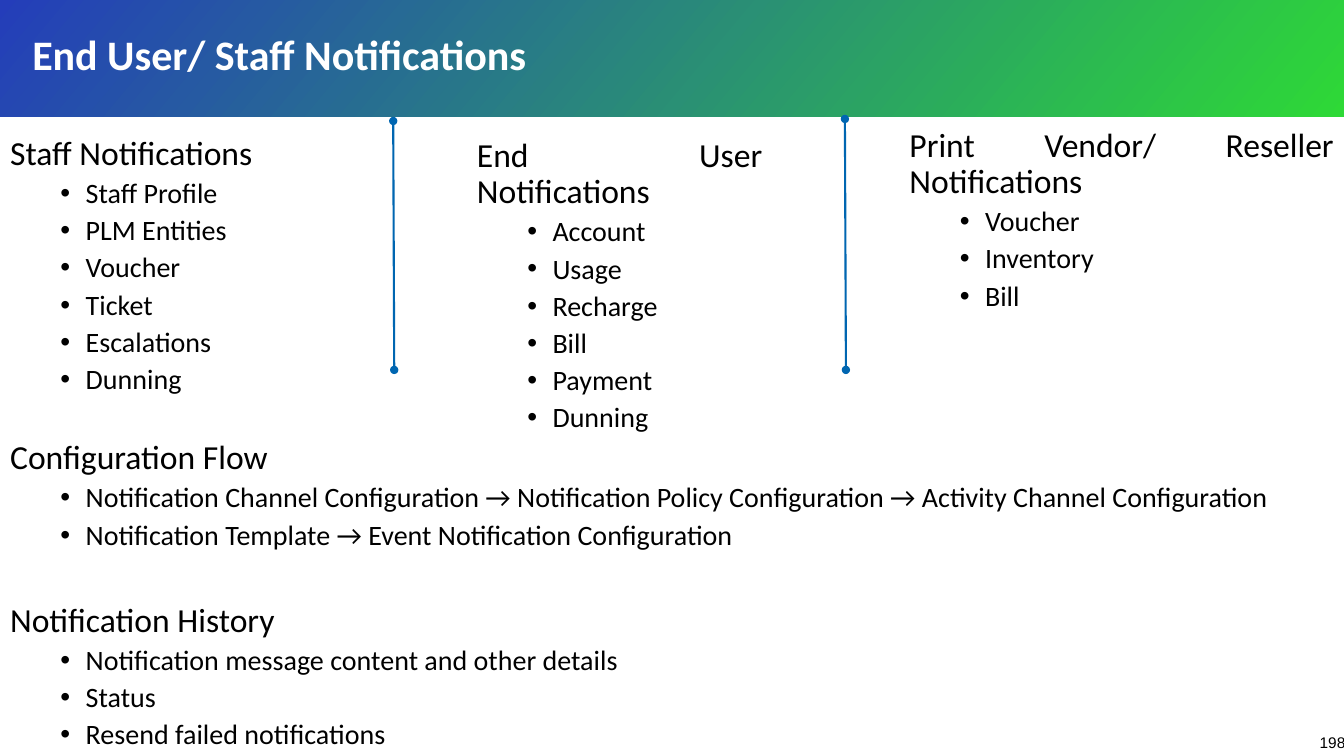
from dataclasses import dataclass

import pptx
import pptx.dml.color
import pptx.enum.shapes
import pptx.enum.text
import pptx.oxml
import pptx.oxml.ns
import pptx.util
from lxml import etree
from pptx.util import Inches, Pt

ALIGN = pptx.enum.text.PP_ALIGN
ANCHOR = pptx.enum.text.MSO_ANCHOR


@dataclass(frozen=True)
class Theme:
    font: str = "Calibri"
    number_font: str = "Arial"
    text: str = "000000"
    title: str = "FFFFFF"
    divider: str = "0066B1"
    banner: tuple[str, str] = ("0D29B3", "18D521")
    banner_alpha: int = 89000
    title_size: int = 30
    heading_size: int = 24
    item_size: int = 20
    number_size: int = 11
    line_spacing: float = 0.9


@dataclass(frozen=True)
class Topic:
    heading: str
    items: tuple[str, ...]


@dataclass(frozen=True)
class Panel:
    placeholder: int
    box: tuple[float, float, float, float]
    topics: tuple[Topic, ...]


@dataclass(frozen=True)
class Divider:
    start: tuple[float, float]
    end: tuple[float, float]


THEME = Theme()
PANELS = (
    Panel(1, (0, 1.3, 2.62, 2.22), (
        Topic("Staff Notifications", ("Staff Profile", "PLM Entities", "Voucher",
                                      "Ticket", "Escalations", "Dunning")),
    )),
    Panel(2, (4.63, 1.32, 3.03, 2.24), (
        Topic("End User Notifications", ("Account", "Usage", "Recharge",
                                         "Bill", "Payment", "Dunning")),
    )),
    Panel(3, (8.92, 1.22, 4.41, 2.22), (
        Topic("Print Vendor/ Reseller Notifications", ("Voucher", "Inventory", "Bill")),
    )),
    Panel(4, (0, 4.32, 12.84, 2.87), (
        Topic("Configuration Flow", (
            "Notification Channel Configuration → Notification Policy Configuration"
            " → Activity Channel Configuration",
            "Notification Template → Event Notification Configuration")),
        Topic("Notification History", ("Notification message content and other details",
                                       "Status", "Resend failed notifications")),
    )),
)
DIVIDERS = (Divider((3.9, 1.2), (3.91, 3.67)), Divider((8.38, 1.18), (8.39, 3.67)))


def rgb(value: str) -> pptx.dml.color.RGBColor:
    return pptx.dml.color.RGBColor.from_string(value)


def add_child(parent, tag: str, **attributes: str):
    child = etree.SubElement(parent, pptx.oxml.ns.qn(tag))
    for key, value in attributes.items():
        child.set(key, value)
    return child


def place(shape, box: tuple[float, float, float, float]) -> None:
    shape.left, shape.top, shape.width, shape.height = map(Inches, box)


def set_font(paragraph, size: int, color: str, bold: bool = False,
             name: str = THEME.font) -> None:
    font = paragraph.font
    font.name, font.size, font.bold = name, Pt(size), bold
    font.color.rgb = rgb(color)


def add_banner(slide) -> None:
    banner = slide.shapes.add_shape(pptx.enum.shapes.MSO_SHAPE.RECTANGLE,
                                    0, 0, Inches(13.33), Inches(1.16))
    banner.shadow.inherit = False
    banner.line.fill.background()
    banner.fill.gradient()
    banner.fill.gradient_angle = 320
    for stop, color in zip(banner.fill.gradient_stops, THEME.banner):
        stop.color.rgb = rgb(color)
    for color in banner.element.spPr.iter(pptx.oxml.ns.qn("a:srgbClr")):
        add_child(color, "a:alpha", val=str(THEME.banner_alpha))
    banner.element.getparent().insert(2, banner.element)


def fill_title(title) -> None:
    place(title, (0.22, 0.14, 10.51, 0.85))
    title.text_frame.text = "End User/ Staff Notifications"
    title.text_frame.vertical_anchor = ANCHOR.MIDDLE
    title.text_frame.auto_size = pptx.enum.text.MSO_AUTO_SIZE.NONE
    paragraph = title.text_frame.paragraphs[0]
    paragraph.alignment = ALIGN.LEFT
    paragraph.line_spacing = THEME.line_spacing
    set_font(paragraph, THEME.title_size, THEME.title, bold=True)


def write_line(paragraph, text: str, size: int, space_before: int, bulleted: bool) -> None:
    paragraph.text = text
    paragraph.level = int(bulleted)
    paragraph.alignment = ALIGN.JUSTIFY
    paragraph.line_spacing = THEME.line_spacing
    paragraph.space_before = Pt(space_before)
    paragraph.space_after = Pt(0)
    properties = paragraph._p.get_or_add_pPr()
    properties.set("marL", str(Inches(0.75 if bulleted else 0)))
    properties.set("indent", str(Inches(-0.25 if bulleted else 0)))
    if bulleted:
        add_child(properties, "a:buFont", typeface="Arial")
        add_child(properties, "a:buChar", char="•")
    else:
        add_child(properties, "a:buNone")
    set_font(paragraph, size, THEME.text)


def fill_panel(slide, panel: Panel) -> None:
    body = slide.placeholders[panel.placeholder]
    place(body, panel.box)
    frame = body.text_frame
    frame.word_wrap = True
    frame.auto_size = pptx.enum.text.MSO_AUTO_SIZE.NONE
    frame.vertical_anchor = ANCHOR.TOP
    for number, topic in enumerate(panel.topics):
        heading = frame.add_paragraph() if number else frame.paragraphs[0]
        write_line(heading, topic.heading, THEME.heading_size, 37 if number else 0, False)
        for item in topic.items:
            write_line(frame.add_paragraph(), item, THEME.item_size, 5, True)


def add_divider(slide, divider: Divider) -> None:
    line = slide.shapes.add_connector(pptx.enum.shapes.MSO_CONNECTOR.STRAIGHT,
                                      *map(Inches, divider.start + divider.end))
    line.line.color.rgb = rgb(THEME.divider)
    line.line.width = Pt(1.5)
    outline = line.line._get_or_add_ln()
    for end in ("a:headEnd", "a:tailEnd"):
        add_child(outline, end, type="oval")
    add_child(line.element.spPr, "a:effectLst")


def add_page_number(slide) -> None:
    number = slide.shapes.add_textbox(*map(Inches, (12.99, 7.22, 0.48, 0.4)))
    number.text_frame.word_wrap = True
    number.text_frame.text = "198"
    set_font(number.text_frame.paragraphs[0], THEME.number_size, THEME.text,
             name=THEME.number_font)


def main() -> None:
    deck = pptx.Presentation()
    deck.slide_width, deck.slide_height = Inches(13.33), Inches(7.5)
    slide = deck.slides.add_slide(deck.slide_layouts.get_by_name("Comparison"))
    add_banner(slide)
    fill_title(slide.shapes.title)
    for panel in PANELS:
        fill_panel(slide, panel)
    for divider in DIVIDERS:
        add_divider(slide, divider)
    add_page_number(slide)
    deck.save("out.pptx")


if __name__ == "__main__":
    main()
